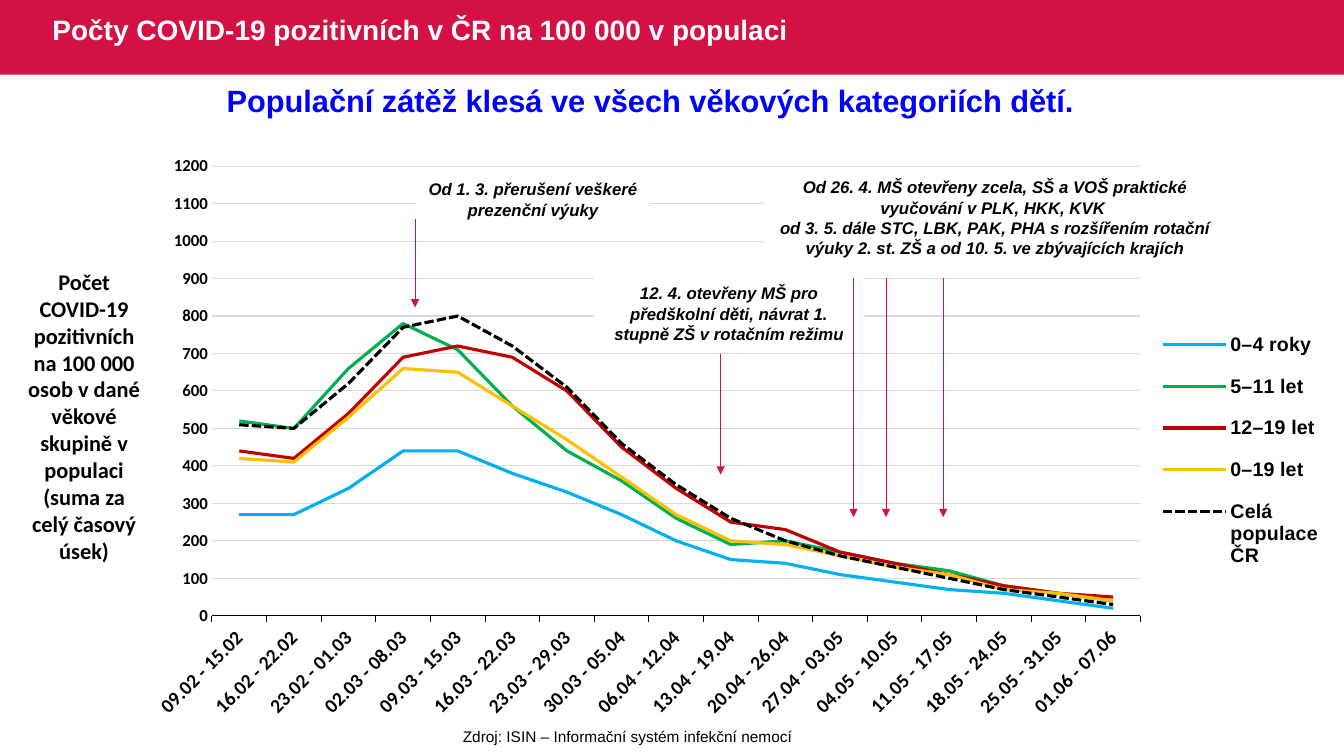
from dataclasses import dataclass
from typing import Optional

from lxml import etree
from pptx import Presentation, util as u
from pptx.chart.data import CategoryChartData
from pptx.dml.color import RGBColor
from pptx.enum import chart as ch, dml, shapes, text
from pptx.oxml import parse_xml
from pptx.oxml.ns import nsdecls, qn

RED = RGBColor(0xD3, 0x11, 0x45)
WHITE = RGBColor(0xFF, 0xFF, 0xFF)
BLACK = RGBColor(0, 0, 0)
BLUE = RGBColor(0, 0, 0xFF)
GREY = RGBColor(0xD9, 0xD9, 0xD9)
SKY = RGBColor(0, 0xB0, 0xF0)
GREEN = RGBColor(0, 0xB0, 0x50)
DARK = RGBColor(0xC0, 0, 0)
GOLD = RGBColor(0xFF, 0xC0, 0)


@dataclass
class Label:
    words: str
    box: tuple[float, float, float, float]
    size: int
    color: RGBColor = BLACK
    face: str = "Arial"
    bold: bool = True
    slant: bool = False
    fill: Optional[RGBColor] = None
    align: text.PP_ALIGN = text.PP_ALIGN.CENTER
    middle: bool = False


@dataclass
class Arrow:
    x: float
    top: float
    end: float


@dataclass
class Line:
    name: str
    color: RGBColor
    vals: list[int]
    dash: bool = False


def note(words: str, *box: float) -> Label:
    return Label(words, box, 12, slant=True, fill=WHITE)


TITLE = Label("Počty COVID-19 pozitivních v ČR na 100 000 v populaci",
              (1.07, 0, 21.26, 1.6), 20, WHITE,
              align=text.PP_ALIGN.LEFT, middle=True)
LABELS = [
    Label("Zdroj: ISIN – Informační systém infekční nemocí",
          (5.99, 18.19, 19.66, 0.74), 11, bold=False),
    Label("Počet COVID-19 pozitivních na 100 000 osob v dané věkové skupině "
          "v populaci (suma za celý časový úsek)",
          (0.38, 6.63, 3.48, 7.77), 16, face="Calibri"),
    Label("Populační zátěž klesá ve všech věkových kategoriích dětí. ",
          (0.74, 1.93, 31.52, 1.19), 22, BLUE),
    note("Od 1. 3. přerušení veškeré prezenční výuky", 10.49, 4.39, 5.89, 1.27),
    note("12. 4. otevřeny MŠ pro předškolní děti, návrat 1. stupně ZŠ "
         "v rotačním režimu", 14.96, 7.01, 6.83, 1.8),
    note("Od 26. 4. MŠ otevřeny zcela, SŠ a VOŠ praktické vyučování v PLK, HKK, KVK "
         "\vod 3. 5. dále STC, LBK, PAK, PHA s rozšířením rotační výuky 2. st. ZŠ "
         "a od 10. 5. ve zbývajících krajích", 19.25, 4.34, 11.66, 2.31),
]
ARROWS = [Arrow(10.46, 5.51, 7.75), Arrow(18.16, 8.92, 11.96)]
ARROWS += [Arrow(x, 7.01, 13.03) for x in (21.51, 22.33, 23.77)]

WEEKS = ["09.02 - 15.02", "16.02 - 22.02", "23.02 - 01.03", "02.03 - 08.03",
         "09.03 - 15.03", "16.03 - 22.03", "23.03 - 29.03", "30.03 - 05.04",
         "06.04 - 12.04", "13.04 - 19.04", "20.04 - 26.04", "27.04 - 03.05",
         "04.05 - 10.05", "11.05 - 17.05", "18.05 - 24.05", "25.05 - 31.05",
         "01.06 - 07.06"]
LINES = [
    Line("0–4 roky", SKY, [270, 270, 340, 440, 440, 380, 330, 270, 200,
                           150, 140, 110, 90, 70, 60, 40, 20]),
    Line("5–11 let", GREEN, [520, 500, 660, 780, 710, 560, 440, 360, 260,
                             190, 200, 170, 140, 120, 80, 60, 40]),
    Line("12–19 let", DARK, [440, 420, 540, 690, 720, 690, 600, 450, 340,
                             250, 230, 170, 140, 110, 80, 60, 50]),
    Line("0–19 let", GOLD, [420, 410, 530, 660, 650, 560, 470, 370, 270,
                            200, 190, 160, 130, 110, 70, 60, 40]),
    Line("Celá populace ČR", BLACK, [510, 500, 620, 770, 800, 720, 610, 460, 350,
                                     260, 200, 160, 130, 100, 70, 50, 30], True),
]


def style(font, size: int, face: str, color: RGBColor = BLACK, bold: bool = True) -> None:
    font.size, font.name, font.bold = u.Pt(size), face, bold
    font.color.rgb = color


def stroke(line, color: RGBColor, width: float) -> None:
    line.color.rgb = color
    line.width = u.Pt(width)


def block(slide, box: tuple, fill: RGBColor):
    rect = slide.shapes.add_shape(shapes.MSO_SHAPE.RECTANGLE, *map(u.Cm, box))
    rect.shadow.inherit = False
    rect.fill.solid()
    rect.fill.fore_color.rgb = fill
    rect.line.fill.background()
    return rect


def write(slide, label: Label) -> None:
    if label.fill is None:
        shape = slide.shapes.add_textbox(*map(u.Cm, label.box))
    else:
        shape = block(slide, label.box, label.fill)
    frame = shape.text_frame
    frame.word_wrap = True
    anchor = text.MSO_ANCHOR
    frame.vertical_anchor = anchor.MIDDLE if label.middle else anchor.TOP
    if not label.middle:
        frame.auto_size = text.MSO_AUTO_SIZE.SHAPE_TO_FIT_TEXT
    para = frame.paragraphs[0]
    para.text = label.words
    para.alignment = label.align
    if label.middle:
        para.line_spacing = 0.9
    for run in para.runs:
        style(run.font, label.size, label.face, label.color, label.bold)
        run.font.italic = label.slant


def point(slide, arrow: Arrow) -> None:
    x = u.Cm(arrow.x)
    link = slide.shapes.add_connector(shapes.MSO_CONNECTOR.STRAIGHT,
                                      x, u.Cm(arrow.top), x, u.Cm(arrow.end))
    stroke(link.line, RED, 0.5)
    props = link._element.spPr
    etree.SubElement(props.find(qn("a:ln")), qn("a:tailEnd"), type="triangle")
    etree.SubElement(props, qn("a:effectLst"))


def place(parent, index: int, inner: bool, *spot: float) -> None:
    for old in parent.findall(qn("c:layout")):
        parent.remove(old)
    target = '<c:layoutTarget val="inner"/>' if inner else ""
    modes = "".join(f'<c:{k}Mode val="edge"/>' for k in "xy")
    sizes = "".join(f'<c:{k} val="{v}"/>' for k, v in zip("xywh", spot))
    parent.insert(index, parse_xml(
        f'<c:layout {nsdecls("c")}><c:manualLayout>{target}{modes}{sizes}'
        '</c:manualLayout></c:layout>'))


def plot(slide) -> None:
    data = CategoryChartData()
    data.categories = WEEKS
    for line in LINES:
        data.add_series(line.name, line.vals)
    box = map(u.Cm, (3.86, 3.89, 29.62, 14.91))
    chart = slide.shapes.add_chart(ch.XL_CHART_TYPE.LINE, *box, data).chart
    chart.has_title = False
    style(chart.font, 14, "Arial")
    chart.plots[0].vary_by_categories = False
    for series, line in zip(chart.plots[0].series, LINES):
        series.smooth = False
        stroke(series.format.line, line.color, 2.25)
        if line.dash:
            series.format.line.dash_style = dml.MSO_LINE.SQUARE_DOT

    weeks, counts = chart.category_axis, chart.value_axis
    style(weeks.tick_labels.font, 14, "Calibri")
    weeks._element.find(qn("c:txPr")).find(qn("a:bodyPr")).set("rot", "-2700000")
    stroke(weeks.format.line, BLACK, 0.75)
    weeks.major_tick_mark = ch.XL_TICK_MARK.OUTSIDE
    style(counts.tick_labels.font, 12, "Calibri")
    counts.minimum_scale, counts.maximum_scale, counts.major_unit = 0, 1200, 100
    counts.major_tick_mark = ch.XL_TICK_MARK.NONE
    counts.format.line.fill.background()
    stroke(counts.major_gridlines.format.line, GREY, 0.75)

    chart.has_legend = True
    legend = chart.legend
    legend.position = ch.XL_LEGEND_POSITION.RIGHT
    legend.include_in_layout = False
    style(legend.font, 14, "Arial")
    place(legend._element, 1, False, 0.85, 0.27, 0.15, 0.46)
    area = chart._chartSpace.find(qn("c:chart")).find(qn("c:plotArea"))
    place(area, 0, True, 0.05, 0.02, 0.79, 0.76)


def main() -> None:
    deck = Presentation()
    deck.slide_width, deck.slide_height = u.Cm(33.87), u.Cm(19.05)
    slide = deck.slides.add_slide(deck.slide_layouts[6])
    block(slide, (0, 0, 33.87, 1.88), RED)
    write(slide, TITLE)
    plot(slide)
    for label in LABELS:
        write(slide, label)
    for arrow in ARROWS:
        point(slide, arrow)
    deck.save("out.pptx")


if __name__ == "__main__":
    main()
